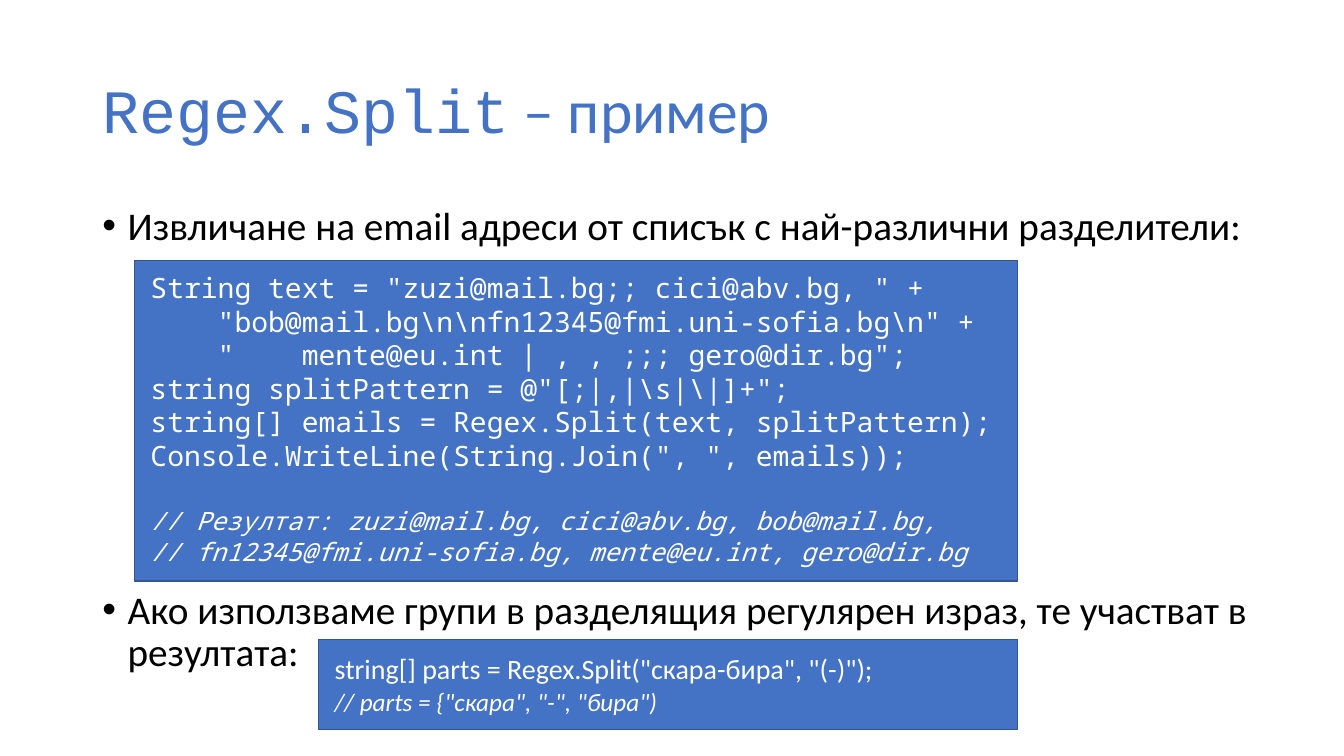
from collections import namedtuple

from lxml.etree import SubElement
from pptx import Presentation
from pptx.dml.color import RGBColor
from pptx.enum.shapes import MSO_SHAPE
from pptx.enum.text import MSO_ANCHOR, MSO_AUTO_SIZE, PP_ALIGN
from pptx.oxml.ns import qn
from pptx.util import Pt

COLORS = {"accent": "4472C4", "outline": "325491", "text": "000000", "code": "FFFFFF"}
BODY_FONT = "Calibri"
CODE_FONT = "Noto Sans Mono"

Box = namedtuple("Box", "left top width height")

CODE_LINES = [
    'String text = "zuzi@mail.bg;; cici@abv.bg, " +',
    r'    "bob@mail.bg\n\nfn12345@fmi.uni-sofia.bg\n" +',
    '    "    mente@eu.int | , , ;;; gero@dir.bg";',
    r'string splitPattern = @"[;|,|\s|\|]+";',
    "string[] emails = Regex.Split(text, splitPattern);",
    'Console.WriteLine(String.Join(", ", emails));',
]
RESULT_LINES = [
    "// Резултат: zuzi@mail.bg, cici@abv.bg, bob@mail.bg,",
    "// fn12345@fmi.uni-sofia.bg, mente@eu.int, gero@dir.bg",
]
GROUP_CODE = ['string[] parts = Regex.Split("скара-бира", "(-)");']
GROUP_RESULT = ['// parts = {"скара", "-", "бира")']


def place(shape, box):
    shape.left, shape.top, shape.width, shape.height = map(Pt, box)


def add_text(paragraph, text, *, font, size, color, italic=False):
    run = paragraph.add_run()
    run.text = text
    run.font.name = font
    run.font.size = Pt(size)
    run.font.italic = italic
    run.font.color.rgb = RGBColor.from_string(COLORS[color])


def next_paragraph(frame):
    first = frame.paragraphs[0]
    return frame.add_paragraph() if first.runs else first


def add_title(slide, box):
    title = slide.shapes.title
    place(title, box)
    frame = title.text_frame
    frame.auto_size = MSO_AUTO_SIZE.NONE
    frame.vertical_anchor = MSO_ANCHOR.MIDDLE
    paragraph = frame.paragraphs[0]
    paragraph.alignment = PP_ALIGN.LEFT
    paragraph.line_spacing = 0.9
    add_text(paragraph, "Regex.Split", font="Courier New", size=44, color="accent")
    add_text(paragraph, " – пример", font=BODY_FONT, size=44, color="accent")


def add_bullets(slide, box, bullets):
    body = slide.placeholders[1]
    place(body, box)
    frame = body.text_frame
    frame.auto_size = MSO_AUTO_SIZE.NONE
    frame.vertical_anchor = MSO_ANCHOR.TOP
    for text, space_before in bullets:
        paragraph = next_paragraph(frame)
        properties = paragraph._p.get_or_add_pPr()
        properties.set("marL", str(Pt(18)))
        properties.set("indent", str(-Pt(18)))
        SubElement(properties, qn("a:buFont")).set("typeface", "Arial")
        SubElement(properties, qn("a:buChar")).set("char", "•")
        paragraph.line_spacing = 0.9
        paragraph.space_before = Pt(space_before)
        add_text(paragraph, text, font=BODY_FONT, size=28, color="text")


def add_code(slide, box, code, result, *, font, line_spacing=1.0, result_gap=0):
    shape = slide.shapes.add_shape(MSO_SHAPE.RECTANGLE, *map(Pt, box))
    shape.shadow.inherit = False
    shape.fill.solid()
    shape.fill.fore_color.rgb = RGBColor.from_string(COLORS["accent"])
    shape.line.color.rgb = RGBColor.from_string(COLORS["outline"])
    shape.line.width = Pt(1)
    frame = shape.text_frame
    frame.word_wrap = True
    frame.vertical_anchor = MSO_ANCHOR.TOP
    frame.margin_left = frame.margin_right = Pt(11.5)
    frame.margin_top, frame.margin_bottom = Pt(7.2), Pt(8.6)
    for index, text in enumerate(code + result):
        is_result = index >= len(code)
        paragraph = next_paragraph(frame)
        paragraph.alignment = PP_ALIGN.LEFT
        paragraph.line_spacing = line_spacing
        paragraph.space_before = Pt(result_gap if index == len(code) else 0)
        add_text(paragraph, text, font=font, size=18 if is_result else 20,
                 color="code", italic=is_result)


def add_content(slide, box):
    add_bullets(slide, box, [
        ("Извличане на email адреси от списък с най-различни разделители:", 0),
        ("Ако използваме групи в разделящия регулярен израз, "
         "те участват в резултата:", 244),
    ])
    code_right = box.left + 661
    code_left = box.left + 30
    group_left = box.left + 161.5
    add_code(slide, Box(code_left, box.top + 42, code_right - code_left, 229),
             CODE_LINES, RESULT_LINES, font=CODE_FONT, result_gap=24)
    add_code(slide, Box(group_left, box.top + 313, code_right - group_left, 64),
             GROUP_CODE, GROUP_RESULT, font=BODY_FONT, line_spacing=1.05)


def main():
    presentation = Presentation()
    presentation.slide_width, presentation.slide_height = Pt(960), Pt(540)
    slide = presentation.slides.add_slide(presentation.slide_layouts[1])
    add_title(slide, Box(66, 28.75, 828, 104.4))
    add_content(slide, Box(66, 144, 852, 378))
    presentation.save("out.pptx")


if __name__ == "__main__":
    main()
